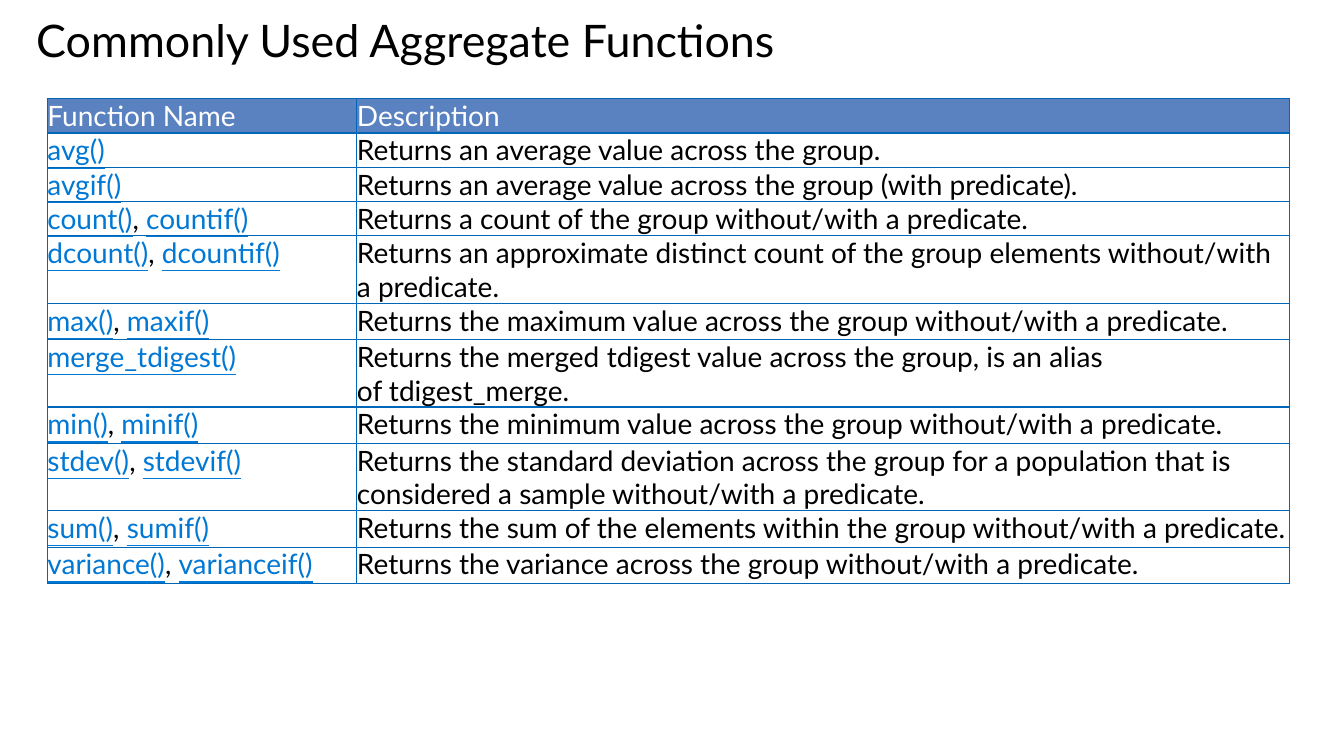
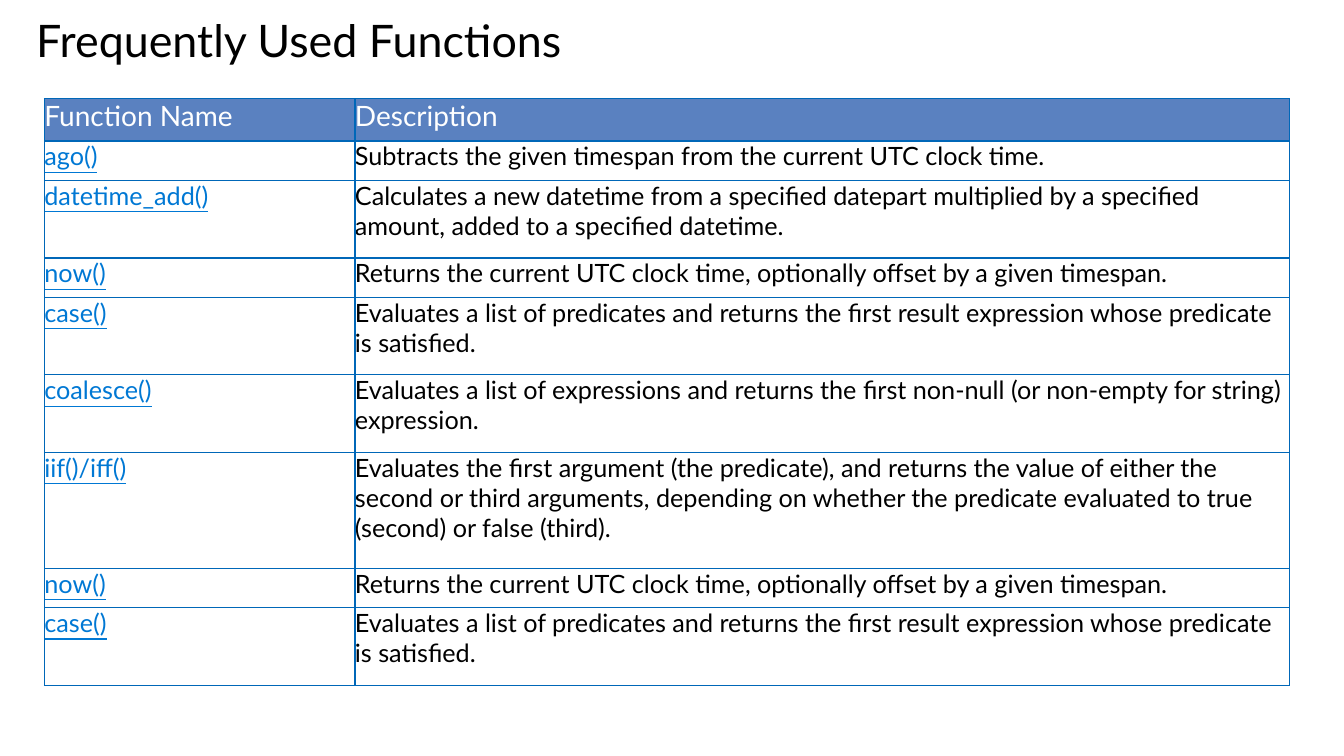
from dataclasses import dataclass

from lxml.etree import SubElement
from pptx import Presentation
from pptx.dml.color import RGBColor
from pptx.enum.text import MSO_ANCHOR
from pptx.oxml.ns import qn
from pptx.util import Inches, Pt


@dataclass(frozen=True)
class Theme:
    font: str = "Lato"
    ink: str = "000000"
    paper: str = "FFFFFF"
    link: str = "0078D4"
    header_fill: str = "5A81C0"
    header_ink: str = "FFFFFF"
    border: str = "0067B8"
    border_width: float = 1
    title_size: int = 32
    header_size: int = 20


THEME = Theme()
NBSP = chr(160)  # no-break space, keeps words on one line
HEADERS = ("Function Name", "Description")
TABLE_TOP = 0.98
TABLE_RIGHT = 12.79

# Each row: function names, description, row height
AGGREGATES = [
    (["avg()"], "Returns an average value across the group.", 0.34),
    (["avgif()"], "Returns an average value across the group (with predicate).", 0.34),
    (["count()", "countif()"],
     "Returns a count of the group without/with a predicate.", 0.34),
    (["dcount()", "dcountif()"],
     "Returns an approximate distinct count of the group elements "
     "without/with a predicate.", 0.67),
    (["max()", "maxif()"],
     "Returns the maximum value across the group without/with a predicate.", 0.36),
    (["merge_tdigest()"],
     f"Returns the merged{NBSP}tdigest{NBSP}value across the group, is an alias "
     f"of{NBSP}tdigest_merge.", 0.67),
    (["min()", "minif()"],
     "Returns the minimum value across the group without/with a predicate.", 0.36),
    (["stdev()", "stdevif()"],
     "Returns the standard deviation across the group for a population that is "
     "considered a sample without/with a predicate.", 0.67),
    (["sum()", "sumif()"],
     "Returns the sum of the elements within the group without/with a predicate.", 0.36),
    (["variance()", "varianceif()"],
     "Returns the variance across the group without/with a predicate.", 0.36),
]

NOW = (["now()"],
       "Returns the current UTC clock time, optionally offset by a given timespan.", 0.39)
CASE = (["case()"],
        "Evaluates a list of predicates and returns the first result expression "
        "whose predicate is satisfied.", 0.77)
FREQUENT = [
    (["ago()"], "Subtracts the given timespan from the current UTC clock time.", 0.39),
    (["datetime_add()"],
     "Calculates a new datetime from a specified datepart multiplied by a specified "
     "amount, added to a specified datetime.", 0.77),
    NOW,
    CASE,
    (["coalesce()"],
     "Evaluates a list of expressions and returns the first non-null "
     "(or non-empty for string) expression.", 0.77),
    (["iif()/iff()"],
     "Evaluates the first argument (the predicate), and returns the value of either "
     "the second or third arguments, depending on whether the predicate evaluated "
     "to true (second) or false (third).", 1.15),
    NOW,
    CASE,
]


def rgb(color):
    return RGBColor.from_string(color)


def add_run(p, text, size, color, underline=False):
    r = p.add_run()
    r.text = text
    r.font.name = THEME.font
    r.font.size = Pt(size)
    r.font.color.rgb = rgb(color)
    r.font.underline = underline


def clear_margins(box):
    box.margin_left = box.margin_right = box.margin_top = box.margin_bottom = 0


def set_fill(target, color):
    target.fill.solid()
    target.fill.fore_color.rgb = rgb(color)


def add_title(s, text):
    sp = s.shapes.add_textbox(Inches(0.36), Inches(0.18), Inches(11.9), Inches(0.5))
    set_fill(sp, THEME.paper)
    tf = sp.text_frame
    tf.word_wrap = True
    tf.vertical_anchor = MSO_ANCHOR.MIDDLE
    clear_margins(tf)
    p = tf.paragraphs[0]
    p.line_spacing = 0.9
    add_run(p, text, THEME.title_size, THEME.ink)


def style_cell(cell, fill=None):
    clear_margins(cell)
    # Borders come before the fill in the cell properties
    tcPr = cell._tc.get_or_add_tcPr()
    for side in ("a:lnL", "a:lnR", "a:lnT", "a:lnB"):
        ln = SubElement(tcPr, qn(side), w=str(Pt(THEME.border_width)))
        solid = SubElement(ln, qn("a:solidFill"))
        SubElement(solid, qn("a:srgbClr"), val=THEME.border)
    if fill:
        set_fill(cell, fill)
    else:
        cell.fill.background()


def add_function_table(s, left, name_width, header_height, body_size, rows):
    heights = [header_height] + [height for _, _, height in rows]
    width = TABLE_RIGHT - left
    table = s.shapes.add_table(
        len(heights), len(HEADERS), Inches(left), Inches(TABLE_TOP),
        Inches(width), Inches(sum(heights))).table
    for column, w in zip(table.columns, (name_width, width - name_width)):
        column.width = Inches(w)
    for row, height in zip(table.rows, heights):
        row.height = Inches(height)

    # Header row
    for cell, text in zip(table.rows[0].cells, HEADERS):
        style_cell(cell, THEME.header_fill)
        add_run(cell.text_frame.paragraphs[0], text, THEME.header_size, THEME.header_ink)

    # Body rows: underlined function names, then the description
    for i, (names, description, _) in enumerate(rows, start=1):
        name_cell, description_cell = table.rows[i].cells
        style_cell(name_cell)
        style_cell(description_cell)
        p = name_cell.text_frame.paragraphs[0]
        for j, name in enumerate(names):
            if j:
                add_run(p, "," + NBSP, body_size, THEME.ink)
            add_run(p, name, body_size, THEME.link, underline=True)
        add_run(description_cell.text_frame.paragraphs[0], description,
                body_size, THEME.ink)


def add_function_slide(prs, title, **table):
    s = prs.slides.add_slide(prs.slide_layouts[6])
    add_title(s, title)
    add_function_table(s, **table)


def main():
    prs = Presentation()
    prs.slide_width, prs.slide_height = Inches(13.33), Inches(7.5)
    add_function_slide(prs, "Commonly Used Aggregate Functions", left=0.47,
                       name_width=3.07, header_height=0.34, body_size=20,
                       rows=AGGREGATES)
    add_function_slide(prs, "Frequently Used Functions", left=0.44,
                       name_width=3.08, header_height=0.42, body_size=18,
                       rows=FREQUENT)
    prs.save("out.pptx")


if __name__ == "__main__":
    main()
